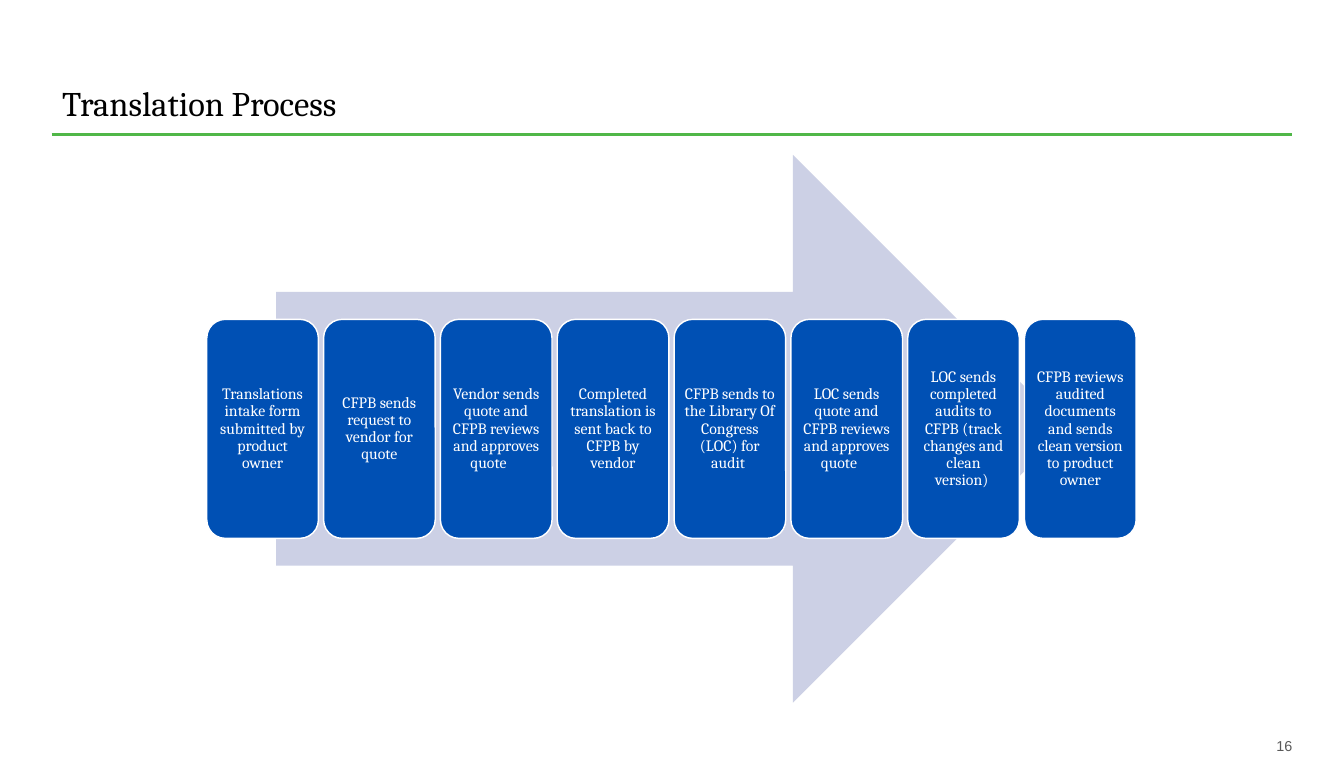
"""Build the Translation Process slide."""
from lxml.etree import SubElement
from pptx import Presentation
from pptx.dml.color import RGBColor
from pptx.enum.shapes import MSO_CONNECTOR, MSO_SHAPE
from pptx.enum.text import MSO_ANCHOR, MSO_AUTO_SIZE, PP_ALIGN
from pptx.oxml.ns import qn
from pptx.util import Inches, Pt

THEME = {
    "heading_font": "Cambria",
    "number_font": "Arial",
    "title": RGBColor(0x00, 0x00, 0x00),
    "rule": RGBColor(0x50, 0xB7, 0x48),
    "arrow": RGBColor(0xCC, 0xD0, 0xE5),
    "step": RGBColor(0x00, 0x50, 0xB4),
    "white": RGBColor(0xFF, 0xFF, 0xFF),
    "number": RGBColor(0x59, 0x59, 0x59),
    "title_size": Pt(24),
    "step_size": Pt(11),
    "number_size": Pt(10),
}

STEPS = [
    "Translations intake form submitted by product owner",
    "CFPB sends request to vendor for quote",
    "Vendor sends quote and CFPB reviews and approves quote\t",
    "Completed translation is sent back to CFPB by vendor",
    "CFPB sends to the Library Of Congress (LOC) for audit ",
    "LOC sends quote and CFPB reviews and approves quote\t",
    "LOC sends completed audits to CFPB (track changes and clean version) ",
    "CFPB reviews audited documents and sends clean version to product owner",
]
FIRST_LEFT, STEP_PITCH = 2, 1.13


def write(shape, text, font, size, color, align, anchor, inset, spacing=None):
    frame = shape.text_frame
    frame.word_wrap = True
    frame.auto_size = MSO_AUTO_SIZE.NONE
    frame.vertical_anchor = anchor
    frame.margin_left = frame.margin_right = Inches(inset)
    frame.margin_top = frame.margin_bottom = Inches(inset)
    paragraph = frame.paragraphs[0]
    paragraph.alignment = align
    paragraph.line_spacing = spacing
    run = paragraph.add_run()
    run.text = text
    run.font.name = font
    run.font.size = size
    run.font.color.rgb = color


prs = Presentation()
prs.slide_width, prs.slide_height = Inches(13), Inches(7.5)
slide = prs.slides.add_slide(prs.slide_layouts[5])
shapes = slide.shapes

title = shapes.title
title.left, title.top = Inches(0.5), Inches(0.3)
title.width, title.height = Inches(12), Inches(1)
write(title, "Translation Process", THEME["heading_font"], THEME["title_size"],
      THEME["title"], PP_ALIGN.LEFT, MSO_ANCHOR.BOTTOM, 0.1, 0.9)

title_rule = shapes.add_connector(
    MSO_CONNECTOR.STRAIGHT, Inches(0.5), Inches(1.3), Inches(12.5), Inches(1.3))
title_rule.line.color.rgb = THEME["rule"]
title_rule.line.width = Pt(2)
SubElement(title_rule._element.spPr, qn("a:effectLst"))

process_arrow = shapes.add_shape(
    MSO_SHAPE.RIGHT_ARROW, Inches(2.67), Inches(1.5), Inches(7.65), Inches(5.3))
process_arrow.shadow.inherit = False
process_arrow.fill.solid()
process_arrow.fill.fore_color.rgb = THEME["arrow"]
process_arrow.line.fill.background()

for index, wording in enumerate(STEPS):
    step = shapes.add_shape(
        MSO_SHAPE.ROUNDED_RECTANGLE, Inches(FIRST_LEFT + index * STEP_PITCH),
        Inches(3.09), Inches(1.08), Inches(2.12))
    step.shadow.inherit = False
    step.fill.solid()
    step.fill.fore_color.rgb = THEME["step"]
    step.line.color.rgb = THEME["white"]
    step.line.width = Pt(1)
    write(step, wording, THEME["heading_font"], THEME["step_size"],
          THEME["white"], PP_ALIGN.CENTER, MSO_ANCHOR.MIDDLE, 0.05, 0.9)

page_number = shapes.add_textbox(Inches(11.2), Inches(7), Inches(1.3), Inches(0.3))
write(page_number, "16", THEME["number_font"], THEME["number_size"],
      THEME["number"], PP_ALIGN.RIGHT, MSO_ANCHOR.BOTTOM, 0)

prs.save("out.pptx")
